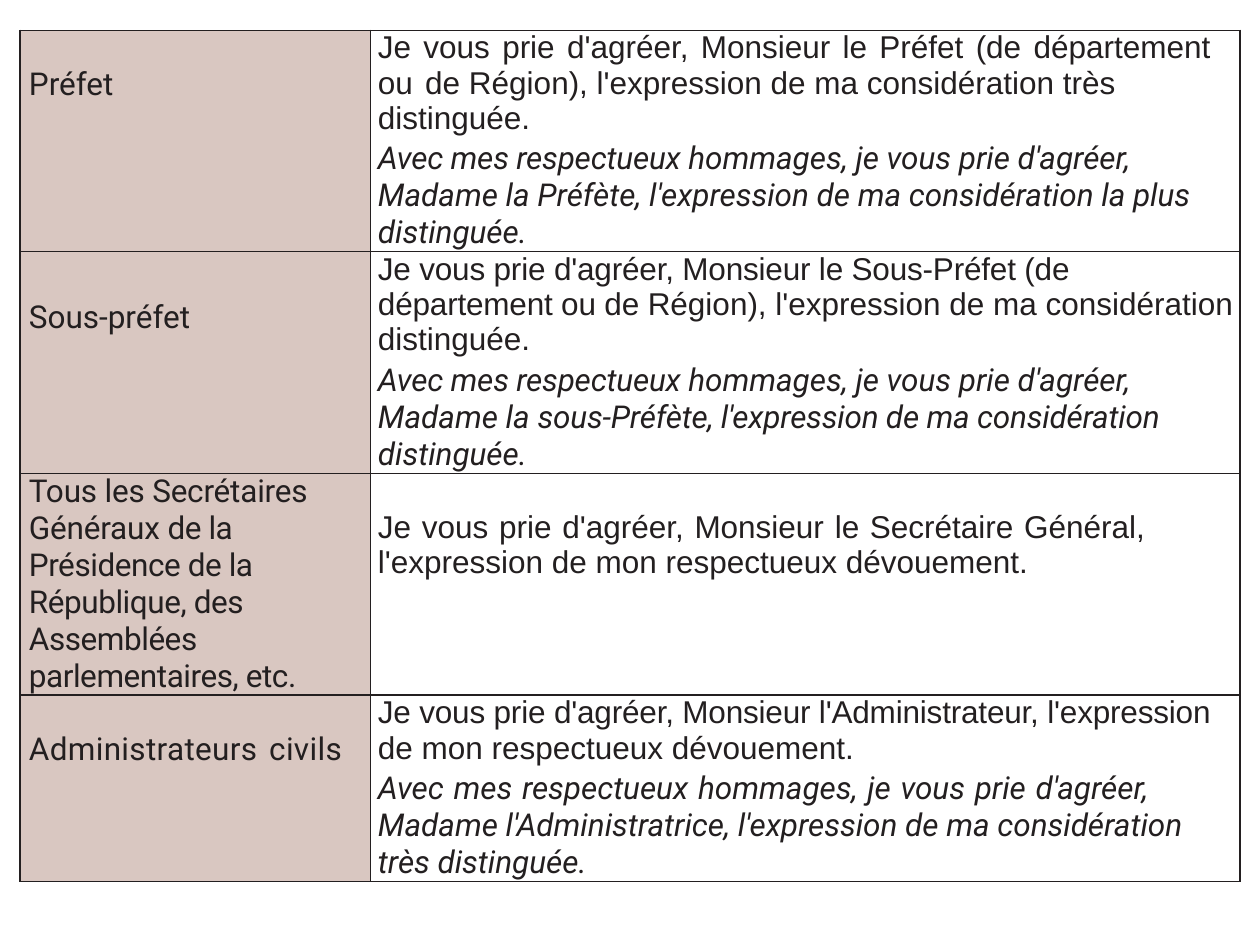
import dataclasses

import pptx
import pptx.dml.color
import pptx.oxml
import pptx.oxml.ns
import pptx.util

INK = pptx.dml.color.RGBColor(0x23, 0x1F, 0x20)
ROSE = pptx.dml.color.RGBColor(0xD9, 0xC7, 0xC1)
SLIDE_WIDTH, SLIDE_HEIGHT = 10, 7.5
TABLE_LEFT, TABLE_TOP = 0.016, 0.032
COLUMN_SHARES = (0.278, 0.69)
TEXT_SIZE = 18
WIDE, WIDER = 1.1, 2


@dataclasses.dataclass(frozen=True)
class Piece:
    text: str
    tracking: float = 0
    word_spacing: float = 0


@dataclasses.dataclass(frozen=True)
class Passage:
    pieces: tuple[Piece, ...]
    font: str = "Arial"
    italic: bool = False
    space_before: float = 0


@dataclasses.dataclass(frozen=True)
class Entry:
    height: float
    title: tuple[Piece, ...]
    formulas: tuple[Passage, ...]
    title_top: float = 0
    formula_top: float = 0


def feminine(*pieces: Piece) -> Passage:
    return Passage(pieces, font="Roboto", italic=True, space_before=2.7)


ENTRIES = (
    Entry(
        1.75,
        (Piece("Préfet"),),
        (
            Passage((
                Piece("Je vous prie d'agréer, Monsieur le Préfet (de département ou ", word_spacing=WIDER),
                Piece("de Région), l'expression de ma considération très distinguée."),
            )),
            feminine(
                Piece("Avec mes respectueux ", -0.1),
                Piece("hommages, je vous prie d'agréer, Madame la Préfète, "
                      "l'expression de ma considération la plus distinguée."),
            ),
        ),
        title_top=0.29,
    ),
    Entry(
        1.76,
        (Piece("Sous-préfet"),),
        (
            Passage((
                Piece("Je vous prie d'agréer, Monsieur le Sous-Préfet (de département ou de ", -0.1),
                Piece("Région), l'expression de ma considération distinguée."),
            )),
            feminine(
                Piece("Avec mes respectueux ", -0.1),
                Piece("hommages, je vous prie d'agréer, Madame la "),
                Piece("sous-Préfète, l'expression de ma considération ", -0.1),
                Piece("distinguée."),
            ),
        ),
        title_top=0.38,
    ),
    Entry(
        1.76,
        (
            Piece("Tous les Secrétaires Généraux ", -0.1),
            Piece("de la Présidence de la République, des Assemblées parlementaires, etc.", -0.25),
        ),
        (
            Passage((
                Piece("Je vous prie d'agréer, Monsieur le Secrétaire Général, ", word_spacing=WIDE),
                Piece("l'expression de mon respectueux dévouement."),
            )),
        ),
        formula_top=0.29,
    ),
    Entry(
        1.48,
        (Piece("Administrateurs civils", 0.2, WIDER),),
        (
            Passage((
                Piece("Je vous prie d'agréer, Monsieur l'Administrateur, l'expression ", -0.1),
                Piece("de mon respectueux dévouement."),
            )),
            feminine(
                Piece("Avec mes respectueux hommages, je vous prie d'agréer, ", word_spacing=WIDE),
                Piece("Madame l'Administratrice, l'expression de ma considération très distinguée."),
            ),
        ),
        title_top=0.29,
    ),
)


def add_text(paragraph, text: str, *, font: str, italic: bool, tracking: float) -> None:
    run = paragraph.add_run()
    run.text = text
    run.font.name = font
    run.font.size = pptx.util.Pt(TEXT_SIZE)
    run.font.italic = italic
    run.font.color.rgb = INK
    if tracking:
        run._r.get_or_add_rPr().set("spc", str(round(tracking * 100)))


def add_piece(paragraph, piece: Piece, font: str, italic: bool) -> None:
    if not piece.word_spacing:
        add_text(paragraph, piece.text, font=font, italic=italic, tracking=piece.tracking)
        return
    for index, word in enumerate(piece.text.split(" ")):
        if index:
            add_text(paragraph, " ", font=font, italic=italic, tracking=piece.word_spacing)
        if word:
            add_text(paragraph, word, font=font, italic=italic, tracking=piece.tracking)


def add_borders(cell) -> None:
    properties = cell._tc.get_or_add_tcPr()
    for index, side in enumerate(("lnL", "lnR", "lnT", "lnB")):
        line = pptx.oxml.parse_xml(
            f'<a:{side} {pptx.oxml.ns.nsdecls("a")} w="{pptx.util.Pt(1)}">'
            f'<a:solidFill><a:srgbClr val="{INK}"/></a:solidFill></a:{side}>'
        )
        properties.insert(index, line)


def fill_cell(cell, passages: tuple[Passage, ...], *, indent: float, top: float) -> None:
    cell.margin_left = pptx.util.Inches(indent)
    cell.margin_top = pptx.util.Inches(top)
    cell.margin_right = cell.margin_bottom = 0
    frame = cell.text_frame
    for index, passage in enumerate(passages):
        paragraph = frame.add_paragraph() if index else frame.paragraphs[0]
        paragraph.space_before = pptx.util.Pt(passage.space_before)
        for piece in passage.pieces:
            add_piece(paragraph, piece, passage.font, passage.italic)
    add_borders(cell)


def add_formula_table(slide) -> None:
    widths = [pptx.util.Inches(share * SLIDE_WIDTH) for share in COLUMN_SHARES]
    heights = [pptx.util.Inches(entry.height) for entry in ENTRIES]
    table = slide.shapes.add_table(
        len(ENTRIES), len(widths),
        pptx.util.Inches(TABLE_LEFT * SLIDE_WIDTH), pptx.util.Inches(TABLE_TOP * SLIDE_HEIGHT),
        sum(widths), sum(heights),
    ).table
    table.first_row = table.horz_banding = False
    for column, width in zip(table.columns, widths):
        column.width = width
    for row, height, entry in zip(table.rows, heights, ENTRIES):
        row.height = height
        title_cell, formula_cell = row.cells
        title_cell.fill.solid()
        title_cell.fill.fore_color.rgb = ROSE
        formula_cell.fill.background()
        title = Passage(entry.title, font="Roboto")
        fill_cell(title_cell, (title,), indent=0.07, top=entry.title_top)
        fill_cell(formula_cell, entry.formulas, indent=0.06, top=entry.formula_top)


def main() -> None:
    presentation = pptx.Presentation()
    presentation.slide_width = pptx.util.Inches(SLIDE_WIDTH)
    presentation.slide_height = pptx.util.Inches(SLIDE_HEIGHT)
    slide = presentation.slides.add_slide(presentation.slide_layouts[6])
    add_formula_table(slide)
    presentation.save("out.pptx")


if __name__ == "__main__":
    main()
